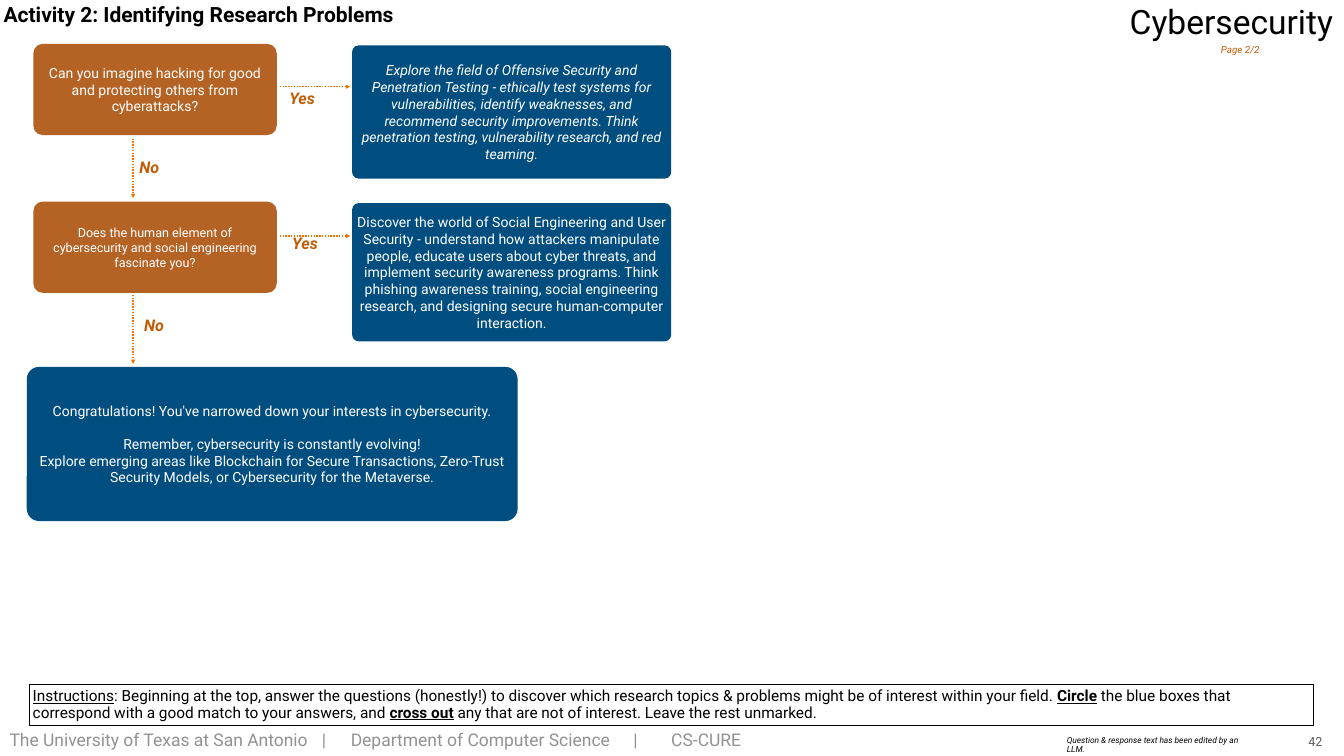
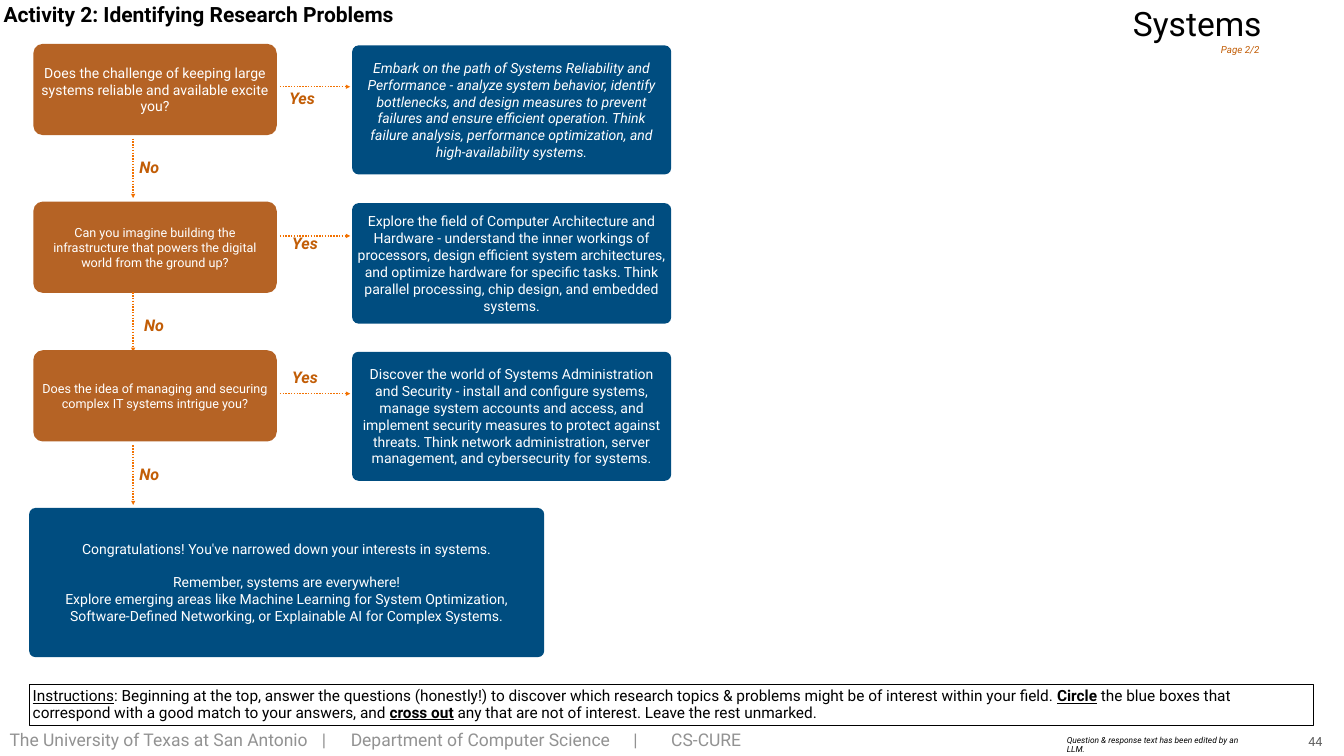
from pptx import Presentation
from pptx.dml.color import RGBColor
from pptx.enum.dml import MSO_LINE
from pptx.enum.shapes import MSO_CONNECTOR, MSO_SHAPE
from pptx.enum.text import MSO_ANCHOR, MSO_AUTO_SIZE, PP_ALIGN
from pptx.oxml.ns import qn
from pptx.util import Cm, Pt
from lxml import etree

ROUNDED, RECTANGLE = MSO_SHAPE.ROUNDED_RECTANGLE, MSO_SHAPE.RECTANGLE
STRAIGHT, DOTTED = MSO_CONNECTOR.STRAIGHT, MSO_LINE.ROUND_DOT
MIDDLE, BOTTOM = MSO_ANCHOR.MIDDLE, MSO_ANCHOR.BOTTOM
CENTER, LEFT = PP_ALIGN.CENTER, PP_ALIGN.LEFT
GROW = MSO_AUTO_SIZE.SHAPE_TO_FIT_TEXT

THEME = {
    "font": "Roboto",
    "question": RGBColor(0xB5, 0x63, 0x25),
    "answer": RGBColor(0x00, 0x4D, 0x80),
    "arrow": RGBColor(0xF2, 0x71, 0x00),
    "accent": RGBColor(0xC2, 0x5D, 0x06),
    "footer": RGBColor(0x92, 0x92, 0x92),
    "number": RGBColor(0x5E, 0x5E, 0x5E),
    "white": RGBColor(0xFF, 0xFF, 0xFF),
    "black": RGBColor(0, 0, 0),
}
STYLES = {
    "title": ("black", {"size": Pt(30), "bold": True}),
    "topic": ("black", {"size": Pt(48)}),
    "page": ("accent", {"size": Pt(14), "italic": True}),
    "label": ("accent", {"size": Pt(23), "bold": True, "italic": True}),
    "node": ("white", {"size": Pt(20)}),
    "italic node": ("white", {"size": Pt(20), "italic": True}),
    "small node": ("white", {"size": Pt(18)}),
    "instructions": ("black", {"size": Pt(22)}),
    "note": ("black", {"size": Pt(12), "italic": True}),
    "footer": ("footer", {"size": Pt(25)}),
    "number": ("number", {"size": Pt(18)}),
}

INSTRUCTIONS = [
    ("Instructions", {"underline": True}),
    (": Beginning at the top, answer the questions (honestly!) to discover which "
     "research topics & problems might be of interest within your field. ", {}),
    ("Circle", {"bold": True, "underline": True}),
    (" the blue boxes that correspond with a good match to your answers, and ", {}),
    ("cross out", {"bold": True, "underline": True}),
    (" any that are not of interest. Leave the rest unmarked.", {}),
]
FOOTER = "The University of Texas at San Antonio\t|\tDepartment of Computer Science\t|\tCS-CURE"
FOOTER_TABS = (15.75, 17.2, 31.45, 33.35)

QUESTION_TOPS = (2.21, 10.16, 17.65)
QUESTION_STYLES = ("node", "small node", "small node")
ANSWER_STYLES = ("italic node", "node", "node")
YES_ARROW_TOPS = (4.37, 11.89, 19.84)
YES_LABELS = ((14.43, 4.39, 1.65, 1.24), (14.58, 11.71, 1.85, 1.24), (14.58, 18.47, 1.85, 1.24))
NO_LABELS = ((6.88, 7.85, 1.4, 1.24), (7.11, 15.82, 1.4, 1.24), (6.88, 23.32, 1.4, 1.24))

FLOWS = [
    {
        "topic": "Cybersecurity",
        "topic_place": (56.79, 0.08, 10.8, 2.24),
        "number": "42",
        "steps": [
            ("Can you imagine hacking for good and protecting others from cyberattacks?",
             "Explore the field of Offensive Security and Penetration Testing - ethically test "
             "systems for vulnerabilities, identify weaknesses, and recommend security "
             "improvements. Think penetration testing, vulnerability research, and red teaming.",
             6.71),
            ("Does the human element of cybersecurity and social engineering fascinate you?",
             "Discover the world of Social Engineering and User Security - understand how "
             "attackers manipulate people, educate users about cyber threats, and implement "
             "security awareness programs. Think phishing awareness training, social engineering "
             "research, and designing secure human-computer interaction.",
             6.96),
        ],
        "no_arrows": ((6.98, 9.98), (14.86, 18.34)),
        "ending_place": (1.35, 18.49, 24.74, 7.77),
        "ending_radius": 0.62,
        "ending": [
            "Congratulations! You've narrowed down your interests in cybersecurity.",
            "Remember, cybersecurity is constantly evolving!",
            "Explore emerging areas like Blockchain for Secure Transactions, Zero-Trust "
            "Security Models, or Cybersecurity for the Metaverse.",
        ],
    },
    {
        "topic": "Systems",
        "topic_place": (56.95, 0.18, 6.83, 2.24),
        "number": "44",
        "steps": [
            ("Does the challenge of keeping large systems reliable and available excite you?",
             "Embark on the path of Systems Reliability and Performance - analyze system "
             "behavior, identify bottlenecks, and design measures to prevent failures and ensure "
             "efficient operation. Think failure analysis, performance optimization, and "
             "high-availability systems.",
             6.5),
            ("Can you imagine building the infrastructure that powers the digital world from "
             "the ground up?",
             "Explore the field of Computer Architecture and Hardware - understand the inner "
             "workings of processors, design efficient system architectures, and optimize "
             "hardware for specific tasks. Think parallel processing, chip design, and embedded "
             "systems.",
             6.07),
            ("Does the idea of managing and securing complex IT systems intrigue you?",
             "Discover the world of Systems Administration and Security - install and configure "
             "systems, manage system accounts and access, and implement security measures to "
             "protect against threats. Think network administration, server management, and "
             "cybersecurity for systems.",
             6.5),
        ],
        "no_arrows": ((6.98, 9.98), (14.73, 17.73), (22.45, 25.45)),
        "ending_place": (1.47, 25.6, 25.96, 7.52),
        "ending_radius": 0.32,
        "ending": [
            "Congratulations! You've narrowed down your interests in systems.",
            "Remember, systems are everywhere!",
            "Explore emerging areas like Machine Learning for System Optimization, "
            "Software-Defined Networking, or Explainable AI for Complex Systems.",
        ],
    },
]


def add_text(page, place, paragraphs, style, shape=None, fill=None, radius=0,
             align=LEFT, wrap=False, anchor=MIDDLE):
    lengths = [Cm(value) for value in place]
    if shape is None:
        box = page.shapes.add_textbox(*lengths)
    else:
        box = page.shapes.add_shape(shape, *lengths)
        box.shadow.inherit = False
        if fill:
            box.fill.solid()
            box.fill.fore_color.rgb = THEME[fill]
            box.line.fill.background()
            box.adjustments[0] = radius / min(place[2:])
        else:
            box.fill.background()
            box.line.color.rgb = THEME["black"]
            box.line.width = Pt(1)
    frame = box.text_frame
    settings = {"word_wrap": wrap, "vertical_anchor": anchor}
    settings.update(dict.fromkeys(
        ("margin_left", "margin_top", "margin_right", "margin_bottom"), Cm(0.15)))
    if not fill and not wrap:
        settings["auto_size"] = GROW
    for name, value in settings.items():
        setattr(frame, name, value)
    color, formats = STYLES[style]
    for index, spans in enumerate(paragraphs):
        para = frame.add_paragraph() if index else frame.paragraphs[0]
        para.alignment = align
        if align == LEFT:
            para.line_spacing = 0.9
        if isinstance(spans, str):
            spans = [(spans, {})]
        for text, extra in spans:
            span = para.add_run()
            span.text = text
            span.font.name = THEME["font"]
            span.font.color.rgb = THEME[color]
            for name, value in {**formats, **extra}.items():
                setattr(span.font, name, value)
    return box


def add_arrow(page, *ends):
    arrow = page.shapes.add_connector(STRAIGHT, *[Cm(value) for value in ends])
    arrow.line.color.rgb = THEME["arrow"]
    arrow.line.width = Pt(2)
    arrow.line.dash_style = DOTTED
    etree.SubElement(arrow.line._get_or_add_ln(), qn("a:tailEnd"), type="triangle")
    etree.SubElement(arrow._element.spPr, qn("a:effectLst"))


deck = Presentation()
deck.slide_width, deck.slide_height = Cm(67.74), Cm(38.1)

for flow in FLOWS:
    page = deck.slides.add_slide(deck.slide_layouts[6])

    footer = add_text(page, (0.33, 36.7, 64.72, 1.32), [FOOTER], "footer", wrap=True)
    properties = footer.text_frame.paragraphs[0]._p.get_or_add_pPr()
    tab_list = etree.SubElement(properties, qn("a:tabLst"))
    for stop in FOOTER_TABS:
        etree.SubElement(tab_list, qn("a:tab"), pos=str(Cm(stop)), algn="l")
    add_text(page, (65.79, 36.86, 1.02, 1.04), [flow["number"]], "number",
             align=CENTER, anchor=BOTTOM)
    add_text(page, (0.03, 0, 20.98, 1.55), ["Activity 2: Identifying Research Problems"], "title")

    for row, (question, answer, answer_height) in enumerate(flow["steps"]):
        top = QUESTION_TOPS[row]
        add_text(page, (1.68, top, 12.27, 4.6), [question], QUESTION_STYLES[row],
                 ROUNDED, "question", 0.48, CENTER, True)
        add_text(page, (17.75, top + 0.08, 16.08, answer_height), [answer], ANSWER_STYLES[row],
                 ROUNDED, "answer", 0.32, CENTER, True)
        add_text(page, YES_LABELS[row], ["Yes"], "label")
        add_text(page, NO_LABELS[row], ["No"], "label")
        add_arrow(page, 14.1, YES_ARROW_TOPS[row], 17.65, YES_ARROW_TOPS[row])
        start, end = flow["no_arrows"][row]
        add_arrow(page, 6.71, start, 6.71, end)

    ending = add_text(page, flow["ending_place"], flow["ending"], "node",
                      ROUNDED, "answer", flow["ending_radius"], CENTER, True)
    ending.text_frame.paragraphs[1].space_before = Pt(23.5)

    add_text(page, (53.62, 37.16, 9.78, 0.79),
             ["Question & response text has been edited by an LLM."], "note", wrap=True)
    add_text(page, (1.5, 34.47, 64.72, 2.11), [INSTRUCTIONS], "instructions",
             RECTANGLE, wrap=True)
    add_text(page, flow["topic_place"], [flow["topic"]], "topic")
    add_text(page, (61.39, 2.13, 2.29, 0.84), ["Page 2/2"], "page")

deck.save("out.pptx")
